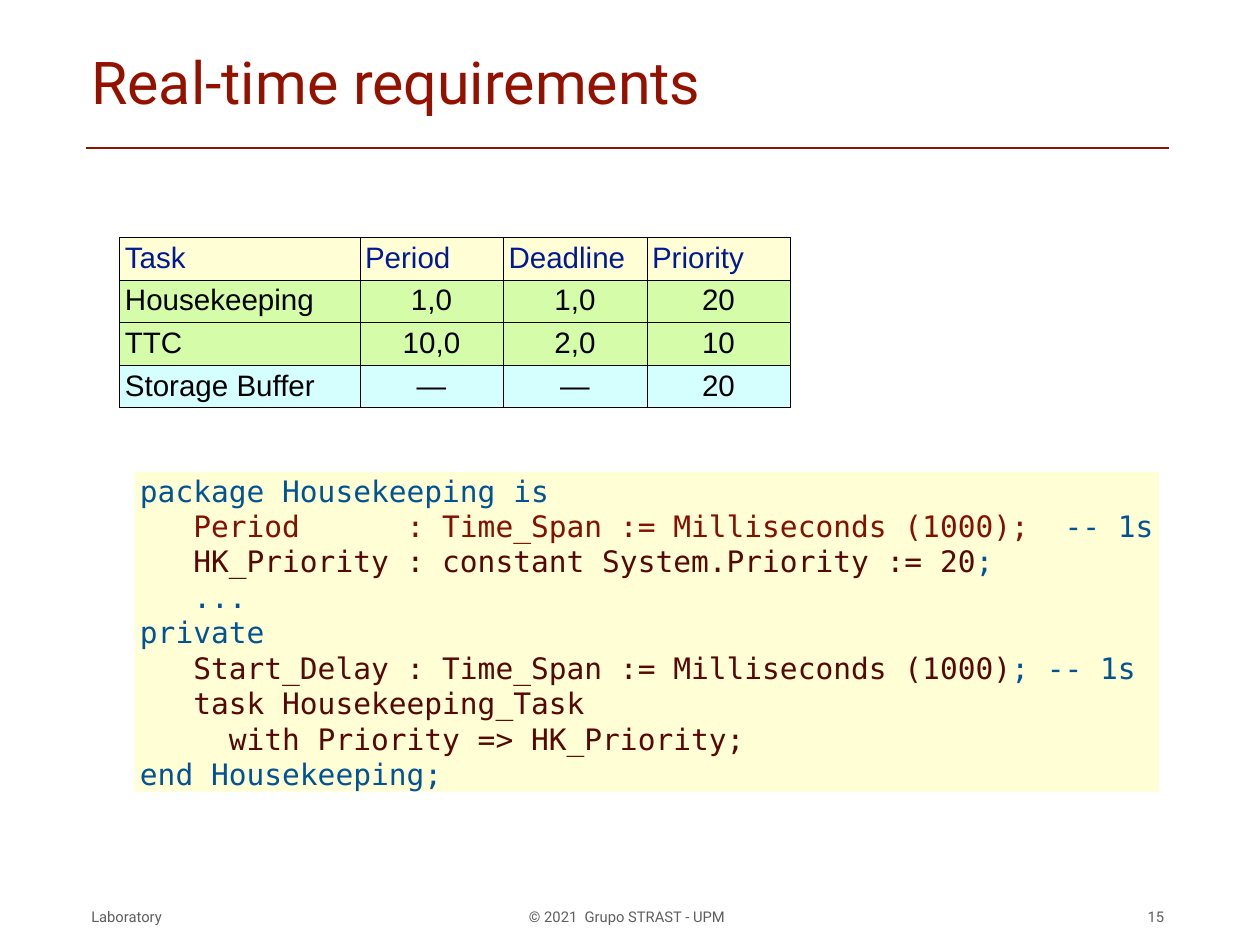
import pptx
import pptx.dml.color
import pptx.enum.dml
import pptx.enum.shapes
import pptx.enum.text
import pptx.oxml
import pptx.oxml.ns
import pptx.util
from pptx.util import Inches

RGBColor = pptx.dml.color.RGBColor
PP_ALIGN = pptx.enum.text.PP_ALIGN
MSO_ANCHOR = pptx.enum.text.MSO_ANCHOR

RED = RGBColor(0x94, 0x11, 0x00)
GRAY = RGBColor(0x5E, 0x5E, 0x5E)
NAVY = RGBColor(0x01, 0x19, 0x93)
BLACK = RGBColor(0x00, 0x00, 0x00)
CREAM = RGBColor(0xFF, 0xFE, 0xD5)
GREEN = RGBColor(0xD4, 0xFC, 0xA9)
CYAN = RGBColor(0xD4, 0xFE, 0xFF)
CODE_BLUE = RGBColor(0x00, 0x54, 0x93)
CODE_RED = RGBColor(0x85, 0x10, 0x01)
CODE_BROWN = RGBColor(0x56, 0x07, 0x06)


def format_font(font, name, size, color):
    font.name = name
    font.size = pptx.util.Pt(size)
    font.color.rgb = color


def set_frame(text_frame, anchor=MSO_ANCHOR.MIDDLE, wrap=True):
    text_frame.margin_left = text_frame.margin_right = Inches(0.06)
    text_frame.margin_top = text_frame.margin_bottom = Inches(0.06)
    text_frame.vertical_anchor = anchor
    text_frame.word_wrap = wrap
    text_frame.auto_size = pptx.enum.text.MSO_AUTO_SIZE.NONE


presentation = pptx.Presentation()
presentation.slide_width = Inches(14.22)
presentation.slide_height = Inches(10.67)
slide = presentation.slides.add_slide(presentation.slide_layouts[5])

title = slide.shapes.title
title.left, title.top = Inches(0.97), Inches(0.22)
title.width, title.height = Inches(12.22), Inches(1.39)
title.text_frame.text = "Real-time requirements"
set_frame(title.text_frame)
title_paragraph = title.text_frame.paragraphs[0]
title_paragraph.alignment = PP_ALIGN.LEFT
format_font(title_paragraph.runs[0].font, "Roboto", 48, RED)

title_rule = slide.shapes.add_connector(
    pptx.enum.shapes.MSO_CONNECTOR.STRAIGHT,
    Inches(0.97), Inches(1.67), Inches(13.19), Inches(1.67))
title_rule.line.color.rgb = RED
title_rule.line.width = pptx.util.Pt(2)
title_rule._element.spPr.append(pptx.oxml.parse_xml(
    f'<a:effectLst {pptx.oxml.ns.nsdecls("a")}/>'))

footers = [
    ("Laboratory", 0.97, 1.59, PP_ALIGN.LEFT, MSO_ANCHOR.MIDDLE, True),
    ("© 2021  Grupo STRAST - UPM", 5.91, 2.45, PP_ALIGN.LEFT, MSO_ANCHOR.MIDDLE, True),
    ("15", 12.89, 0.31, PP_ALIGN.RIGHT, MSO_ANCHOR.TOP, False),
]
for text, left, width, alignment, anchor, wrap in footers:
    footer = slide.shapes.add_textbox(Inches(left), Inches(10.19), Inches(width), Inches(0.31))
    footer.text_frame.text = text
    set_frame(footer.text_frame, anchor, wrap)
    paragraph = footer.text_frame.paragraphs[0]
    paragraph.alignment = alignment
    format_font(paragraph.runs[0].font, "Roboto", 12, GRAY)

task_rows = [
    (CREAM, NAVY, ["Task", "Period", "Deadline", "Priority"]),
    (GREEN, BLACK, ["Housekeeping", "1,0", "1,0", "20"]),
    (GREEN, BLACK, ["TTC", "10,0", "2,0", "10"]),
    (CYAN, BLACK, ["Storage Buffer", "—", "—", "20"]),
]
row_height = Inches(0.48)
table = slide.shapes.add_table(
    len(task_rows), 4, Inches(1.35), Inches(2.68),
    Inches(7.57), row_height * len(task_rows)).table
for column, width in zip(table.columns, [2.71, 1.62, 1.62, 1.62]):
    column.width = Inches(width)
for row_index, (fill, color, values) in enumerate(task_rows):
    table.rows[row_index].height = row_height
    for column_index, value in enumerate(values):
        cell = table.cell(row_index, column_index)
        cell.text_frame.text = value
        cell.margin_left = cell.margin_right = Inches(0.06)
        cell.margin_top = cell.margin_bottom = Inches(0.05)
        paragraph = cell.text_frame.paragraphs[0]
        centered = row_index > 0 and column_index > 0
        paragraph.alignment = PP_ALIGN.CENTER if centered else PP_ALIGN.JUSTIFY
        format_font(paragraph.runs[0].font, "Arial", 24, color)
        properties = cell._tc.get_or_add_tcPr()
        for side in ["lnL", "lnR", "lnT", "lnB"]:
            properties.append(pptx.oxml.parse_xml(
                f'<a:{side} {pptx.oxml.ns.nsdecls("a")} w="3175">'
                f'<a:solidFill><a:srgbClr val="{BLACK}"/></a:solidFill></a:{side}>'))
        cell.fill.solid()
        cell.fill.fore_color.rgb = fill

code_lines = [
    [("package Housekeeping is", CODE_BLUE)],
    [("   Period      : Time_Span := Milliseconds (1000); ", CODE_RED), (" -- 1s", CODE_BLUE)],
    [("   HK_Priority : constant System.Priority := 20", CODE_BROWN), (";", CODE_BLUE)],
    [("   ...", CODE_BLUE)],
    [("private", CODE_BLUE)],
    [("   Start_Delay : Time_Span := Milliseconds (1000)", CODE_BROWN), ("; -- 1s", CODE_BLUE)],
    [("   task Housekeeping_Task", CODE_BROWN)],
    [("     with Priority => HK_Priority;", CODE_BROWN)],
    [("end Housekeeping;", CODE_BLUE)],
]
code_box = slide.shapes.add_shape(
    pptx.enum.shapes.MSO_SHAPE.RECTANGLE,
    Inches(1.52), Inches(5.33), Inches(11.56), Inches(3.61))
code_box.shadow.inherit = False
code_box.fill.solid()
code_box.fill.fore_color.rgb = CREAM
code_box.line.fill.background()
code_frame = code_box.text_frame
set_frame(code_frame, wrap=False)
code_frame.text = "\n".join("" for line in code_lines)
for paragraph, line in zip(code_frame.paragraphs, code_lines):
    paragraph.alignment = PP_ALIGN.LEFT
    for text, color in line:
        run = paragraph.add_run()
        run.text = text
        format_font(run.font, "DejaVu Sans Mono", 24, color)

presentation.save("out.pptx")
